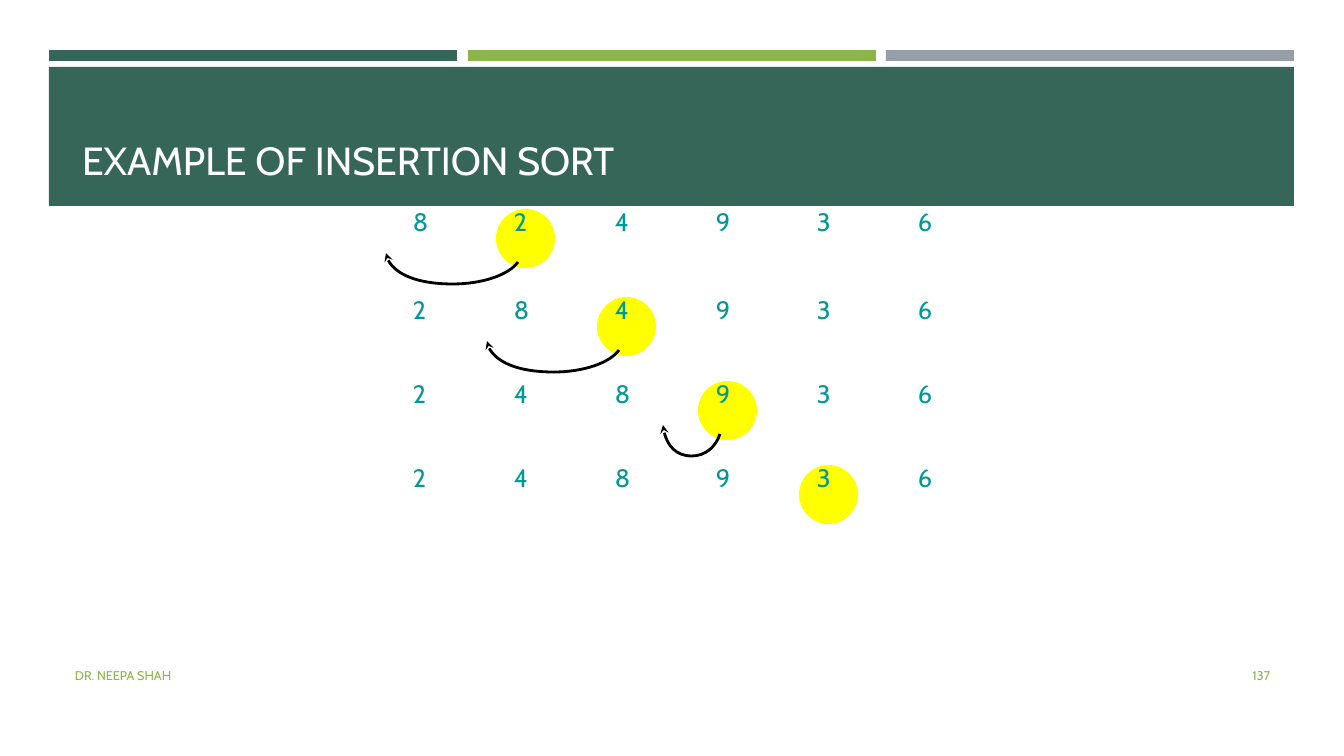
"""Build a slide that traces the first passes of insertion sort."""
from dataclasses import dataclass

import pptx
import pptx.util
import pptx.dml.color
import pptx.enum.shapes
import pptx.enum.text
import pptx.oxml
import pptx.oxml.ns
from lxml import etree

TITLE = "EXAMPLE OF INSERTION SORT"
AUTHOR = "DR. NEEPA SHAH"
PAGE = "137"

PASSES = [
    {"top": 201, "values": "824936", "key": 1, "reach": 132},
    {"top": 289, "values": "284936", "key": 2, "reach": 132},
    {"top": 373, "values": "248936", "key": 3, "reach": 57},
    {"top": 457, "values": "248936", "key": 4, "reach": 0},
]
ARC = [(1, 61), (0.93, 74), (0.73, 83), (0.51, 83), (0.23, 83), (0.01, 69), (0, 52)]


@dataclass(frozen=True)
class Theme:
    font: str = "Cabin"
    green: str = "366658"
    lime: str = "8CB64A"
    grey: str = "969FA7"
    teal: str = "009999"
    yellow: str = "FFFF00"
    white: str = "FFFFFF"
    black: str = "000000"
    title: int = 28
    value: int = 18
    footer: int = 9


THEME = Theme()
BARS = [
    (49, 50, 408, 11, THEME.green),
    (468, 50, 408, 11, THEME.lime),
    (886, 50, 408, 11, THEME.grey),
    (49, 67, 1245, 139, THEME.green),
]
FOOTERS = [
    (PAGE, (1164, 656, 116, 40), pptx.enum.text.PP_ALIGN.RIGHT),
    (AUTHOR, (65, 656, 762, 40), pptx.enum.text.PP_ALIGN.LEFT),
]
COLUMN_LEFT, COLUMN_STEP = 403, 101
EMU_PER_PX = 12192000 / 1344
SHAPE = pptx.enum.shapes.MSO_SHAPE
ANCHOR = pptx.enum.text.MSO_ANCHOR
AUTO_SIZE = pptx.enum.text.MSO_AUTO_SIZE
LEFT = pptx.enum.text.PP_ALIGN.LEFT


def px(*lengths):
    return [pptx.util.Emu(round(n * EMU_PER_PX)) for n in lengths]


def rgb(color):
    return pptx.dml.color.RGBColor.from_string(color)


def write(sp, text, size, color, align=LEFT):
    p = sp.text_frame.paragraphs[0]
    p.text = text
    p.alignment = align
    font = p.runs[0].font
    font.name, font.size = THEME.font, pptx.util.Pt(size)
    font.color.rgb = rgb(color)


def add_filled(shapes, kind, box, color):
    sp = shapes.add_shape(kind, *px(*box))
    sp.shadow.inherit = False
    sp.fill.solid()
    sp.fill.fore_color.rgb = rgb(color)
    sp.line.fill.background()
    return sp


def add_arc(shapes, right, top, reach):
    points = [(right - reach * (1 - fx), top + dy) for fx, dy in ARC]
    builder = shapes.build_freeform(*points[0], scale=EMU_PER_PX)
    builder.add_line_segments(points[1:], close=False)
    sp = builder.convert_to_shape()
    sp.shadow.inherit = False
    sp.fill.background()
    sp.line.color.rgb = rgb(THEME.black)
    sp.line.width = pptx.util.Pt(2)
    qn = pptx.oxml.ns.qn
    line = sp.element.spPr.find(qn("a:ln"))
    etree.SubElement(line, qn("a:tailEnd"), type="stealth")
    steps = list(sp.element.iter(qn("a:lnTo")))
    for i in range(0, len(steps), 3):
        curve = etree.Element(qn("a:cubicBezTo"))
        steps[i].addprevious(curve)
        for step in steps[i:i + 3]:
            curve.append(step[0])
            step.getparent().remove(step)


def add_pass(s, top, values, key, reach):
    shapes = s.shapes.add_group_shape().shapes
    lefts = [COLUMN_LEFT + i * COLUMN_STEP for i in range(len(values))]
    add_filled(shapes, SHAPE.OVAL, (lefts[key] - 8, top + 8, 59, 59), THEME.yellow)
    for left, value in zip(lefts, values):
        sp = shapes.add_textbox(*px(left, top, 33, 40))
        sp.text_frame.word_wrap = False
        sp.text_frame.auto_size = AUTO_SIZE.SHAPE_TO_FIT_TEXT
        write(sp, value, THEME.value, THEME.teal)
    if reach:
        add_arc(shapes, lefts[key] + 14, top, reach)


def main():
    prs = pptx.Presentation()
    prs.slide_width, prs.slide_height = px(1344, 756)
    s = prs.slides.add_slide(prs.slide_layouts[5])

    title = s.shapes.title
    title.left, title.top, title.width, title.height = px(72, 70, 907, 118)
    title.text_frame.vertical_anchor = ANCHOR.BOTTOM
    title.text_frame.auto_size = AUTO_SIZE.NONE
    write(title, TITLE, THEME.title, THEME.white)

    for *box, color in BARS:
        bar = add_filled(s.shapes, SHAPE.RECTANGLE, box, color)
        title.element.addprevious(bar.element)
    for sort_pass in PASSES:
        add_pass(s, **sort_pass)
    for text, box, align in FOOTERS:
        sp = s.shapes.add_textbox(*px(*box))
        sp.text_frame.word_wrap = True
        sp.text_frame.vertical_anchor = ANCHOR.MIDDLE
        write(sp, text, THEME.footer, THEME.lime, align)

    prs.save("out.pptx")


if __name__ == "__main__":
    main()
